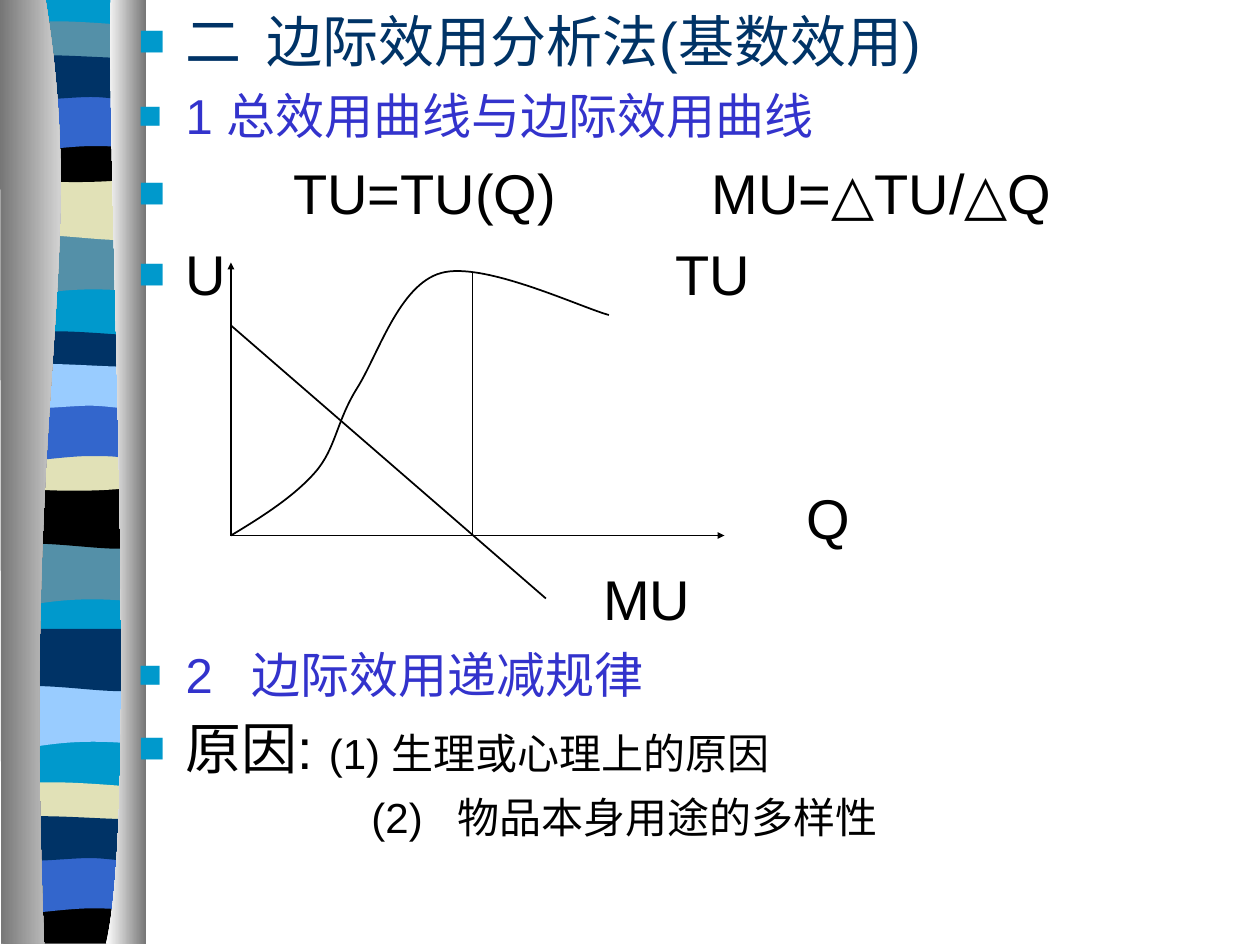
"""Build a slide on marginal utility with total and marginal utility curves."""
from lxml.etree import SubElement
from pptx import Presentation
from pptx.dml.color import RGBColor
from pptx.enum.shapes import MSO_CONNECTOR
from pptx.oxml.ns import qn
from pptx.util import Inches, Pt

THEME = {
    "font": "Arial", "title": 32, "heading": 28, "detail": 24, "line": 1,
    "navy": "003366", "violet": "3333CC", "black": "000000", "cyan": "0099CC",
    "teal": "5490A8", "sand": "E1E1B7", "blue": "3366CC", "sky": "99CCFF",
    "grey": "767676", "white": "FFFFFF",
}

deck = Presentation()
deck.slide_width, deck.slide_height = Inches(10), Inches(7.5)
page = deck.slides.add_slide(deck.slide_layouts[6])
column, row = deck.slide_width / 100, deck.slide_height / 75


def color(name):
    return RGBColor.from_string(THEME[name])


def draw_outline(steps, left=0, top=0, closed=True):
    """Draw straight steps of one point and Bezier steps of three points."""
    places = [(round((left + x) * column), round((top + y) * row))
              for step in steps for x, y in step]
    builder = page.shapes.build_freeform(*places[0], scale=1.0)
    builder.add_line_segments(places[1:], close=closed)
    shape = builder.convert_to_shape()
    shape.shadow.inherit = False
    segments = iter(list(shape._element.iter(qn("a:lnTo"))))
    for step in steps[1:]:
        parts = [next(segments) for _ in step]
        if len(step) == 3:
            curve = parts[0].makeelement(qn("a:cubicBezTo"))
            parts[0].addprevious(curve)
            for part in parts:
                curve.append(part[0])
                part.getparent().remove(part)
    return shape


profiles = {
    "sheet": [[(10.8, 0)], [(10.8, 74.8)], [(0, 74.8)], [(0, 0)]],
    "dip": [[(10.8, 0)], [(10.8, 4.7)], [(3.3, 3.9), (1.8, 5.5), (0, 4.7)], [(0, 0)]],
    "ripple": [[(10.8, 0)], [(10.8, 4.7)], [(9, 5.5), (3.3, 4.1), (0, 4.7)], [(0, 0)]],
    "lens": [[(10.8, 0.5)], [(10.8, 2.9)], [(9, 3.3), (1.8, 3.3), (0, 2.9)], [(0, 0.5)],
             [(0.6, 0), (2.3, 0.1), (4.1, 0.1)], [(5.9, 0.1), (9.4, 0.4), (10.8, 0.5)]],
    "cup": [[(10.8, 0)], [(10.8, 3.2)], [(9, 3.8), (1.8, 3.8), (0, 3.2)], [(0, 0)],
            [(6.6, 0.5), (8.5, 0), (10.8, 0)]],
    "base": [[(10.8, 0)], [(10.8, 3.7)], [(0.1, 3.7)], [(0, 0)],
             [(6.6, 0.5), (8.5, 0), (10.8, 0)]],
    "arch": [[(10.8, 0)], [(10.8, 4.7)], [(9.1, 4.2), (8.4, 4.2), (6.6, 4.2)],
             [(4.8, 4.2), (1.6, 4.7), (0, 4.7)], [(0, 0)]],
    "swell": [[(10.8, 0.5)], [(10.8, 3.6)], [(10.1, 4.1), (8.4, 3.6), (6.6, 3.6)],
              [(4.8, 3.6), (1.1, 4.1), (0, 3.6)], [(0, 0.5)],
              [(1.5, 0), (7.3, 0.5), (9.1, 0.5)], [(10.9, 0.5), (10.4, 0.5), (10.8, 0.5)]],
}
bands = [
    ("sheet", 0.6, -0.1, "cyan"), ("dip", 0.6, 18.5, "teal"),
    ("ripple", 0.6, 14.1, "sand"), ("lens", 0.6, 1.6, "teal"),
    ("cup", 0.6, 10.8, "black"), ("arch", 0.6, 7.4, "blue"),
    ("swell", 0.6, 4.1, "navy"), ("dip", 0.5, 43.1, "teal"),
    ("ripple", 0.5, 38.6, "black"), ("lens", 0.5, 26.2, "navy"),
    ("cup", 0.5, 35.3, "sand"), ("arch", 0.5, 32, "blue"),
    ("swell", 0.5, 28.6, "sky"), ("dip", 0.6, 54.4, "sky"),
    ("ripple", 0.6, 49.9, "navy"), ("lens", 0.5, 62, "sand"),
    ("base", 0.5, 71.2, "black"), ("arch", 0.5, 67.9, "blue"),
    ("swell", 0.5, 64.5, "navy"),
]
for profile, left, top, shade in bands:
    band = draw_outline(profiles[profile], left, top)
    band.fill.solid()
    band.fill.fore_color.rgb = color(shade)
    band.line.fill.background()

pillars = [
    ([[(3.6, -0.1)], [(7.1, 21.6), (1.7, 29.6), (3.5, 74.9)], [(0.1, 74.9)], [(0, -0.1)]],
     ("grey", "white")),
    ([[(8.8, -0.1)], [(8.4, 12.5), (11.1, 64.6), (8.4, 74.9)], [(11.6, 74.9)], [(11.6, 0)]],
     ("white", "grey")),
]
for steps, shades in pillars:
    pillar = draw_outline(steps)
    pillar.fill.gradient()
    pillar.fill.gradient_angle = 0
    for stop, shade, position in zip(pillar.fill.gradient_stops, shades, (0, 1)):
        stop.color.rgb = color(shade)
        stop.position = position
    pillar.line.fill.background()

box = page.shapes.add_textbox(round(10 * column), 0, round(88.3 * column), deck.slide_height)
frame = box.text_frame
frame.word_wrap = True
lines = [
    ([("二\t边际效用分析法(基数效用)", "title", "navy")], True, 3.75, 3.75, 10.2, 0),
    ([("1 总效用曲线与边际效用曲线", "heading", "violet")], True, 3.75, 3.75, 0, 7),
    ([("TU=TU(Q)\tMU=△TU/△Q", "title", "black")], True, 12.3, 12.3, 45.5, 8),
    ([("U\tTU", "title", "black")], True, 3.75, 3.75, 42.6, 8),
    ([("Q", "title", "black")], False, 53, 0, 0, 101),
    ([("MU", "title", "black")], False, 36.9, 0, 0, 8),
    ([("2\t边际效用递减规律", "heading", "violet")], True, 3.75, 3.75, 9, 7),
    ([("原因: ", "title", "black"), ("(1) 生理或心理上的原因", "detail", "black")],
     True, 3.75, 3.75, 0, 6),
    ([("(2)\t物品本身用途的多样性", "detail", "black")], False, 25.3, 6.8, 0, 6),
]
for index, (spans, bulleted, margin, hanging, tab, before) in enumerate(lines):
    para = frame.add_paragraph() if index else frame.paragraphs[0]
    if before:
        para.space_before = Pt(before)
    props = para._p.get_or_add_pPr()
    props.set("marL", str(round(margin * column)))
    props.set("indent", str(round(-hanging * column)))
    if bulleted:
        SubElement(SubElement(props, qn("a:buClr")), qn("a:srgbClr"), val=THEME["cyan"])
        SubElement(props, qn("a:buSzPct"), val="80000")
        SubElement(props, qn("a:buFont"), typeface=THEME["font"])
        SubElement(props, qn("a:buChar"), char="■")
    if tab:
        SubElement(SubElement(props, qn("a:tabLst")), qn("a:tab"),
                   pos=str(round(tab * column)), algn="l")
    for words, size, shade in spans:
        span = para.add_run()
        span.text = words
        span.font.name = THEME["font"]
        span.font.size = Pt(THEME[size])
        span.font.color.rgb = color(shade)

total_utility = draw_outline(
    [[(18.33, 42.5)], [(20.83, 41), (23.33, 39.4), (25, 37.5)],
     [(26.67, 35.6), (26.67, 33.5), (28.33, 30.83)], [(30, 28.2), (31.67, 22.6), (35, 21.67)],
     [(38.33, 20.7), (46.1, 24.4), (48.33, 25)]], closed=False)
total_utility.fill.background()
total_utility.line.color.rgb = color("black")
total_utility.line.width = Pt(THEME["line"])

rules = [
    ((18.33, 42.5), (18.33, 20.83), True), ((18.33, 42.5), (57.5, 42.5), True),
    ((37.5, 42.5), (37.5, 21.67), False), ((18.33, 25.83), (43.33, 47.5), False),
]
for (x1, y1), (x2, y2), arrow in rules:
    rule = page.shapes.add_connector(
        MSO_CONNECTOR.STRAIGHT, round(x1 * column), round(y1 * row),
        round(x2 * column), round(y2 * row))
    rule.line.color.rgb = color("black")
    rule.line.width = Pt(THEME["line"])
    if arrow:
        SubElement(rule.line._get_or_add_ln(), qn("a:tailEnd"),
                   type="triangle", w="sm", len="sm")
    SubElement(rule._element.spPr, qn("a:effectLst"))

deck.save("out.pptx")
